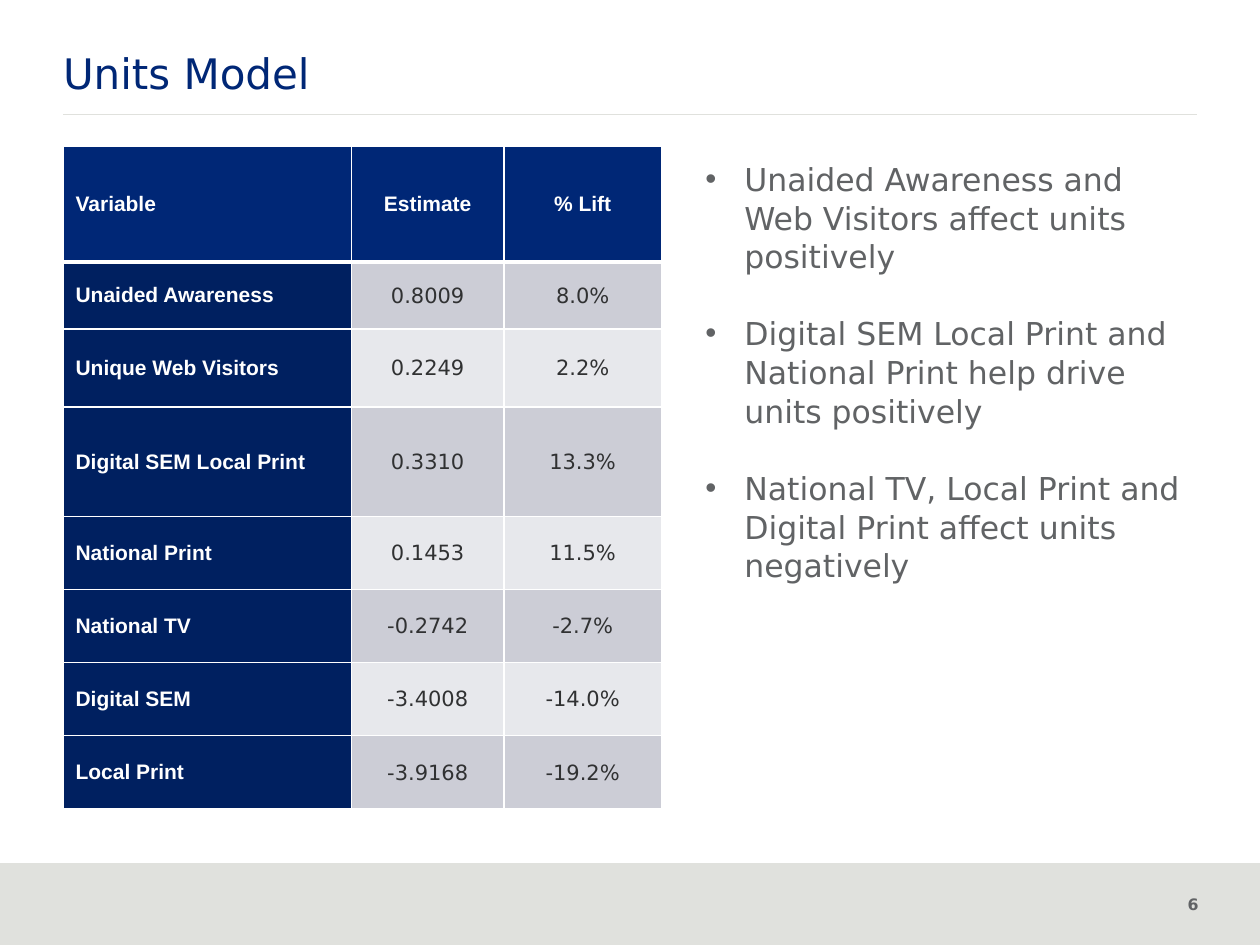
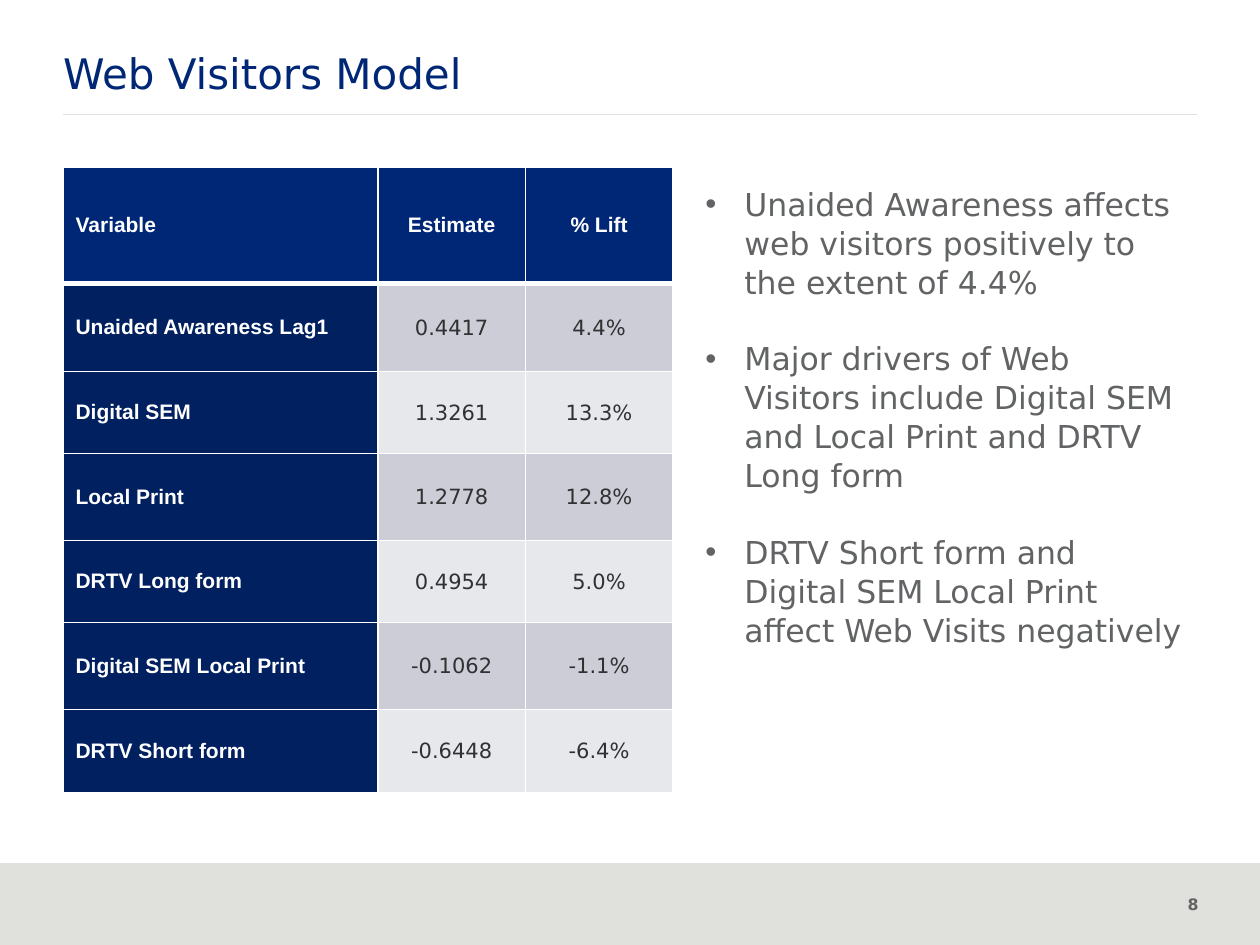
import pptx
import pptx.dml.color
import pptx.enum.shapes
import pptx.enum.text
import pptx.oxml
import pptx.oxml.ns
import pptx.util
from lxml import etree

ALIGN = pptx.enum.text.PP_ALIGN
ANCHOR = pptx.enum.text.MSO_ANCHOR
TITLE_ONLY = 5


def color(hex_code):
    return pptx.dml.color.RGBColor.from_string(hex_code)


def add_xml(parent, tag, **attributes):
    return etree.SubElement(parent, pptx.oxml.ns.qn(tag), attributes)


class ModelDeck:
    """Holds the deck's style and current slide; lengths are grid columns and rows."""

    COLUMNS, ROWS = 10, 7.5
    LEFT = 0.5
    SANS, LABEL_FONT = "DejaVu Sans", "Arial"
    NAVY, DEEP_NAVY, WHITE = "002776", "002060", "FFFFFF"
    GRAY, INK, PALE = "616365", "303132", "E0E1DD"
    STRIPES = ("CCCDD6", "E7E8EC")

    def __init__(self):
        self.deck = pptx.Presentation()
        self.deck.slide_width = pptx.util.Inches(10)
        self.deck.slide_height = pptx.util.Inches(7.5)
        self.slide = None

    def x(self, columns):
        return round(self.deck.slide_width * columns / self.COLUMNS)

    def y(self, rows):
        return round(self.deck.slide_height * rows / self.ROWS)

    def box(self, left, top, width, height):
        return self.x(left), self.y(top), self.x(width), self.y(height)

    def style(self, paragraph, size, hex_code, font=SANS, bold=False, align=ALIGN.LEFT):
        paragraph.alignment = align
        for run in paragraph.runs:
            run.font.size = pptx.util.Pt(size)
            run.font.name = font
            run.font.bold = bold
            run.font.color.rgb = color(hex_code)

    def start_slide(self, title, number):
        layout = self.deck.slide_layouts[TITLE_ONLY]
        self.slide = self.deck.slides.add_slide(layout)
        self.footer(number)
        self.rule(0.91)
        self.title(title)

    def footer(self, number):
        band = self.slide.shapes.add_shape(
            pptx.enum.shapes.MSO_SHAPE.RECTANGLE, *self.box(0, 6.85, self.COLUMNS, 0.65))
        band.shadow.inherit = False
        band.fill.solid()
        band.fill.fore_color.rgb = color(self.PALE)
        band.line.fill.background()
        page = self.slide.shapes.add_textbox(*self.box(8.99, 7.05, 0.62, 0.4)).text_frame
        page.word_wrap = True
        page.text = str(number)
        self.style(page.paragraphs[0], 9, self.GRAY, bold=True, align=ALIGN.RIGHT)

    def rule(self, top):
        line = self.slide.shapes.add_connector(
            pptx.enum.shapes.MSO_CONNECTOR.STRAIGHT,
            self.x(self.LEFT), self.y(top), self.x(self.COLUMNS - self.LEFT), self.y(top))
        line.line.color.rgb = color(self.PALE)
        line.line.width = pptx.util.Pt(0.75)
        add_xml(line._element.spPr, "a:effectLst")

    def title(self, text):
        heading = self.slide.shapes.title
        heading.left, heading.top, heading.width, heading.height = self.box(
            self.LEFT, 0.38, 9, 0.69)
        frame = heading.text_frame
        frame.text = text
        frame.auto_size = pptx.enum.text.MSO_AUTO_SIZE.NONE
        frame.vertical_anchor = ANCHOR.TOP
        frame.margin_left = frame.margin_top = frame.margin_right = frame.margin_bottom = 0
        self.style(frame.paragraphs[0], 24, self.NAVY)

    def borders(self, cell, top=1, bottom=1):
        properties = cell._tc.get_or_add_tcPr()
        for tag, points in (("lnL", 1), ("lnR", 1), ("lnT", top), ("lnB", bottom)):
            edge = add_xml(properties, f"a:{tag}", w=str(pptx.util.Pt(points)))
            add_xml(add_xml(edge, "a:solidFill"), "a:srgbClr", val=self.WHITE)

    def cell(self, cell, text, row, column):
        header, label = row == 0, column == 0
        self.borders(cell, top=3 if row == 1 else 1, bottom=3 if header else 1)
        cell.fill.solid()
        cell.fill.fore_color.rgb = color(
            self.NAVY if header else self.DEEP_NAVY if label else self.STRIPES[(row - 1) % 2])
        cell.vertical_anchor = ANCHOR.MIDDLE
        cell.text = text
        align = ALIGN.LEFT if label else ALIGN.CENTER
        paragraph = cell.text_frame.paragraphs[0]
        if header or label:
            self.style(paragraph, 12, self.WHITE, self.LABEL_FONT, True, align)
        else:
            cell.margin_left = cell.margin_top = cell.margin_right = self.x(0.01)
            cell.margin_bottom = 0
            self.style(paragraph, 12, self.INK, align=align)

    def estimates(self, top, widths, heights, drivers):
        """Table of drivers with their estimate and lift under a header row."""
        rows = [("Variable", "Estimate", "% Lift"), *drivers]
        table = self.slide.shapes.add_table(
            len(rows), len(widths),
            *self.box(self.LEFT, top, sum(widths), sum(heights))).table
        for column, width in zip(table.columns, widths):
            column.width = self.x(width)
        for r, (values, height) in enumerate(zip(rows, heights)):
            table.rows[r].height = self.y(height)
            for c, value in enumerate(values):
                self.cell(table.cell(r, c), value, r, c)

    def findings(self, top, height, points):
        frame = self.slide.shapes.add_textbox(*self.box(5.5, top, 4, height)).text_frame
        frame.word_wrap = True
        frame.text = "\n".join(points)
        for i, paragraph in enumerate(frame.paragraphs):
            self.style(paragraph, 18, self.GRAY)
            paragraph.line_spacing = 1.03
            paragraph.space_before = pptx.util.Pt(21.6 if i else 0)
            properties = paragraph._p.get_or_add_pPr()
            properties.set("marL", str(self.x(0.31)))
            properties.set("indent", str(-self.x(0.31)))
            add_xml(properties, "a:buFont", typeface="Arial")
            add_xml(properties, "a:buChar", char="•")

    def save(self):
        self.deck.save("out.pptx")


def main():
    deck = ModelDeck()

    deck.start_slide("Units Model", 6)
    deck.estimates(
        1.16, (2.29, 1.21, 1.25), (0.92, 0.53, 0.62, 0.87) + (0.58,) * 4,
        [("Unaided Awareness", "0.8009", "8.0%"),
         ("Unique Web Visitors", "0.2249", "2.2%"),
         ("Digital SEM Local Print", "0.3310", "13.3%"),
         ("National Print", "0.1453", "11.5%"),
         ("National TV", "-0.2742", "-2.7%"),
         ("Digital SEM", "-3.4008", "-14.0%"),
         ("Local Print", "-3.9168", "-19.2%")])
    deck.findings(1.21, 4.04, [
        "Unaided Awareness and Web Visitors affect units positively",
        "Digital SEM Local Print and National Print help drive units positively",
        "National TV, Local Print and Digital Print affect units negatively"])

    deck.start_slide("Web Visitors Model", 8)
    deck.estimates(
        1.33, (2.5, 1.17, 1.17), (0.92, 0.7, 0.65, 0.69, 0.65, 0.69, 0.66),
        [("Unaided Awareness Lag1", "0.4417", "4.4%"),
         ("Digital SEM", "1.3261", "13.3%"),
         ("Local Print", "1.2778", "12.8%"),
         ("DRTV Long form", "0.4954", "5.0%"),
         ("Digital SEM Local Print", "-0.1062", "-1.1%"),
         ("DRTV Short form", "-0.6448", "-6.4%")])
    deck.findings(1.41, 4.34, [
        "Unaided Awareness affects web visitors positively to the extent of 4.4%",
        "Major drivers of Web Visitors include Digital SEM and Local Print and DRTV Long form",
        "DRTV Short form and Digital SEM Local Print affect Web Visits negatively"])

    deck.save()


if __name__ == "__main__":
    main()
